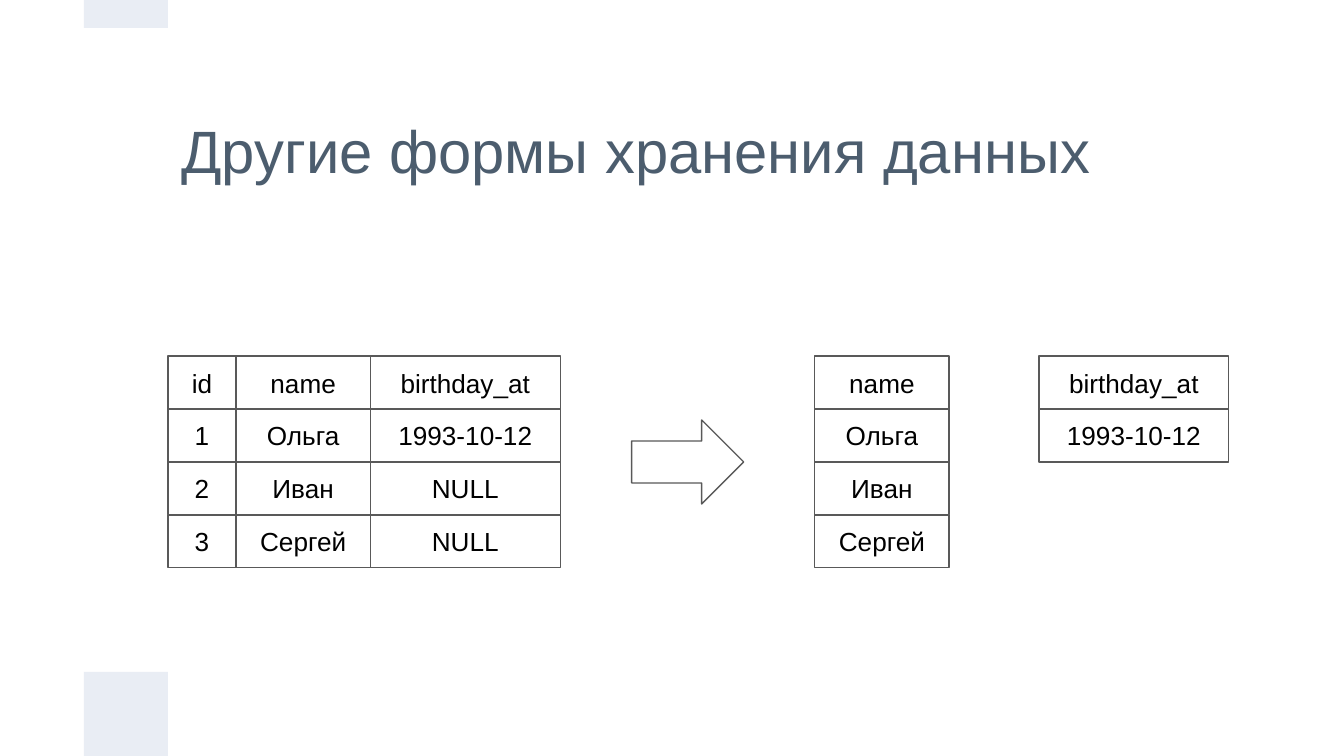
from pptx import Presentation
from pptx.dml.color import RGBColor
from pptx.enum.shapes import MSO_SHAPE
from pptx.enum.text import MSO_ANCHOR, MSO_AUTO_SIZE, PP_ALIGN
from pptx.util import Inches, Pt

TITLE_COLOR = RGBColor(0x4C, 0x5D, 0x6E)
ACCENT = RGBColor(0xE9, 0xED, 0xF4)
OUTLINE = RGBColor(0x59, 0x59, 0x59)
BLACK = RGBColor(0, 0, 0)
WHITE = RGBColor(0xFF, 0xFF, 0xFF)

deck = Presentation()
deck.slide_width = Inches(10)
deck.slide_height = Inches(5.625)
column = deck.slide_width / 16
row = deck.slide_height / 9
page = deck.slides.add_slide(deck.slide_layouts[5])
page.background.fill.solid()
page.background.fill.fore_color.rgb = WHITE


def write(box, text, size=14, color=BLACK, align=PP_ALIGN.CENTER):
    frame = box.text_frame
    frame.word_wrap = True
    frame.auto_size = MSO_AUTO_SIZE.NONE
    frame.vertical_anchor = MSO_ANCHOR.MIDDLE
    frame.margin_left = frame.margin_right = Inches(0.1)
    frame.margin_top = frame.margin_bottom = Inches(0.1)
    para = frame.paragraphs[0]
    para.alignment = align
    span = para.add_run()
    span.text = text
    span.font.name = "Arial"
    span.font.size = Pt(size)
    span.font.color.rgb = color


def add_box(kind, left, top, width, height, fill=None):
    box = page.shapes.add_shape(kind, int(left), int(top), int(width), int(height))
    box.shadow.inherit = False
    if fill is None:
        box.fill.background()
        box.line.color.rgb = OUTLINE
        box.line.width = Pt(0.75)
    else:
        box.fill.solid()
        box.fill.fore_color.rgb = fill
        box.line.fill.background()
    return box


title = page.shapes.title
title.left, title.top = int(2 * column), int(row)
title.width, title.height = int(12 * column), int(1.57 * row)
write(title, "Другие формы хранения данных", size=32, color=TITLE_COLOR, align=PP_ALIGN.LEFT)

add_box(MSO_SHAPE.RECTANGLE, column, 8 * row, column, row, fill=ACCENT)
add_box(MSO_SHAPE.RECTANGLE, column, 0, column, row / 3, fill=ACCENT)

ids = ["id", "1", "2", "3"]
names = ["name", "Ольга", "Иван", "Сергей"]
birthdays = ["birthday_at", "1993-10-12", "NULL", "NULL"]
id_width, name_width, birthday_width = 0.81 * column, 1.6 * column, 2.26 * column
table_left = 2 * column
name_left = table_left + id_width
data_columns = [
    (table_left, id_width, ids),
    (name_left, name_width, names),
    (name_left + name_width, birthday_width, birthdays),
    (9.7 * column, name_width, names),
    (12.37 * column, birthday_width, birthdays[:2]),
]
table_top = 4.24 * row
cell_height = 0.63 * row
for left, width, values in data_columns:
    for index, value in enumerate(values):
        cell = add_box(MSO_SHAPE.RECTANGLE, left, table_top + index * cell_height, width, cell_height)
        write(cell, value)

arrow_top = table_top + 2 * cell_height - row / 2
add_box(MSO_SHAPE.RIGHT_ARROW, 7.52 * column, arrow_top, 4 / 3 * column, row)

deck.save("out.pptx")
